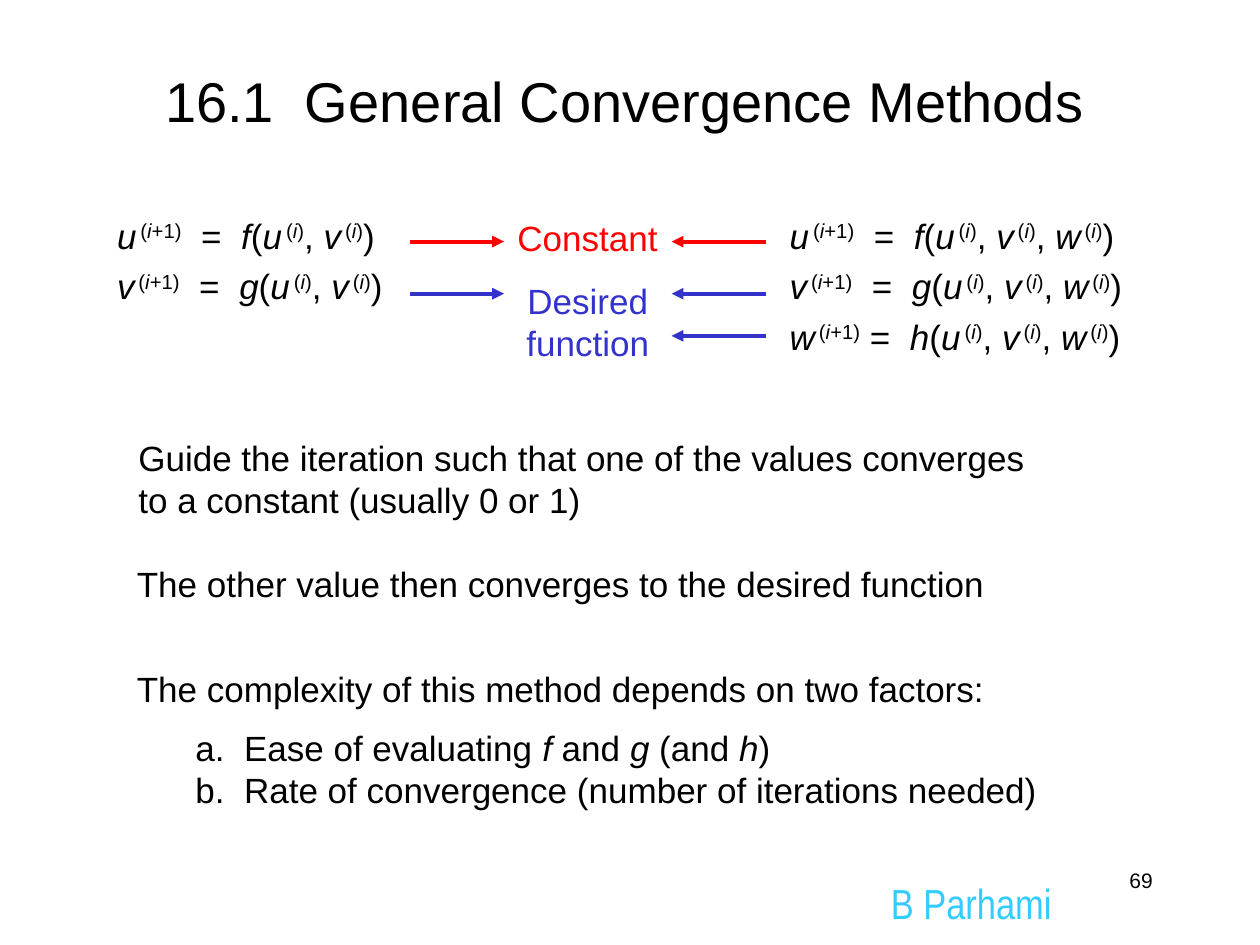
from lxml.etree import SubElement
from pptx import Presentation
from pptx.dml.color import RGBColor
from pptx.enum.shapes import MSO_CONNECTOR as Connector
from pptx.enum.text import MSO_ANCHOR as Anchor, PP_ALIGN as Align
from pptx.oxml.ns import qn
from pptx.util import Cm, Pt

COLORS = {
    "text": "000000",
    "constant": "FF0000",
    "function": "3333CC",
    "author": "33CCFF",
}
BODY = {"name": "Arial", "size": Pt(20), "italic": False}
ITALIC = {"italic": True}
THIN = {"size": Pt(8)}


def set_attributes(target, values):
    for name, value in values.items():
        setattr(target, name, value)


def add_run(paragraph, text, color="text", raised=False, **changes):
    run = paragraph.add_run()
    run.text = text
    set_attributes(run.font, {**BODY, **changes})
    run.font.color.rgb = RGBColor.from_string(COLORS[color])
    if raised:
        run.font._element.set("baseline", "30000")


def add_box(slide, left, top, width, height):
    shape = slide.shapes.add_textbox(Cm(left), Cm(top), Cm(width), Cm(height))
    shape.text_frame.word_wrap = True
    return shape.text_frame


def next_paragraph(frame, index):
    return frame.paragraphs[0] if index == 0 else frame.add_paragraph()


def add_text(slide, place, lines, color="text", align=Align.LEFT, **changes):
    frame = add_box(slide, *place)
    for index, line in enumerate(lines):
        paragraph = next_paragraph(frame, index)
        paragraph.alignment = align
        add_run(paragraph, line, color, **changes)
    return frame


def add_indexed(paragraph, variable, step=""):
    add_run(paragraph, variable, **ITALIC)
    add_run(paragraph, " ", **THIN)
    add_run(paragraph, "(", raised=True)
    add_run(paragraph, "i", raised=True, **ITALIC)
    add_run(paragraph, step + ")", raised=True)


def add_recurrences(slide, place, variables):
    frame = add_box(slide, *place)
    for index, (variable, function) in enumerate(zip(variables, "fgh")):
        paragraph = next_paragraph(frame, index)
        paragraph.line_spacing = 1.2
        add_indexed(paragraph, variable, "+1")
        add_run(paragraph, " =  " if variable == "w" else "  =  ")
        add_run(paragraph, function, **ITALIC)
        add_run(paragraph, "(")
        for position, argument in enumerate(variables):
            if position:
                add_run(paragraph, ", ")
            add_indexed(paragraph, argument)
        add_run(paragraph, ")")


def add_lettered(frame, pieces, space_before=0):
    paragraph = frame.add_paragraph()
    paragraph.space_before = Pt(space_before)
    properties = paragraph._p.get_or_add_pPr()
    properties.set("marL", str(Cm(2.16)))
    properties.set("indent", str(-Cm(0.98)))
    SubElement(properties, qn("a:buFont"), typeface="Arial")
    SubElement(properties, qn("a:buAutoNum"), type="alphaLcPeriod")
    for index, piece in enumerate(pieces):
        add_run(paragraph, piece, italic=index % 2 == 1)


def add_arrow(slide, start, end, y, color):
    line = slide.shapes.add_connector(Connector.STRAIGHT, Cm(start), Cm(y), Cm(end), Cm(y))
    line.line.width = Pt(2.25)
    line.line.color.rgb = RGBColor.from_string(COLORS[color])
    SubElement(line.line._get_or_add_ln(), qn("a:tailEnd"), type="triangle")
    SubElement(line._element.spPr, qn("a:effectLst"))


def add_title(slide, text):
    title = slide.shapes.title
    set_attributes(title, {"left": Cm(0.43), "top": Cm(1.07), "width": Cm(24.33), "height": Cm(1.9)})
    title.text_frame.vertical_anchor = Anchor.MIDDLE
    paragraph = title.text_frame.paragraphs[0]
    paragraph.alignment = Align.CENTER
    add_run(paragraph, text, size=Pt(32))


def main():
    presentation = Presentation()
    set_attributes(presentation, {"slide_width": Cm(25.4), "slide_height": Cm(19.05)})
    slide = presentation.slides.add_slide(presentation.slide_layouts[5])

    add_title(slide, "16.1  General Convergence Methods")
    add_recurrences(slide, (2.11, 4.03, 8.05, 2.29), "uv")
    add_recurrences(slide, (15.67, 4.03, 8.05, 3.3), "uvw")

    add_text(slide, (9.94, 4.24, 3.81, 1.12), ["Constant"], "constant", Align.CENTER)
    add_text(slide, (10.2, 5.51, 3.3, 1.96), ["Desired", "function"], "function", Align.CENTER)
    for y, color in ((4.87, "constant"), (5.92, "function")):
        add_arrow(slide, 8.26, 10.16, y, color)
        add_arrow(slide, 15.45, 13.54, y, color)
    add_arrow(slide, 15.45, 13.54, 6.77, "function")

    add_text(slide, (2.54, 8.67, 18.62, 1.96), [
        "Guide the iteration such that one of the values converges to a constant (usually 0 or 1)",
    ])
    add_text(slide, (2.51, 11.21, 18.62, 1.12), ["The other value then converges to the desired function"])
    factors = add_text(slide, (2.51, 13.34, 18.67, 3.15), ["The complexity of this method depends on two factors:"])
    add_lettered(factors, ["Ease of evaluating ", "f", " and ", "g", " (and ", "h", ")"], 9.5)
    add_lettered(factors, ["Rate of convergence (number of iterations needed)"])

    add_text(slide, (17.58, 17.56, 4, 1.07), ["B Parhami"], "author", Align.CENTER,
             name="Arial Narrow", size=Pt(24))
    add_text(slide, (18.21, 17.36, 5.28, 1.27), ["69"], align=Align.RIGHT, size=Pt(12))
    presentation.save("out.pptx")


if __name__ == "__main__":
    main()
